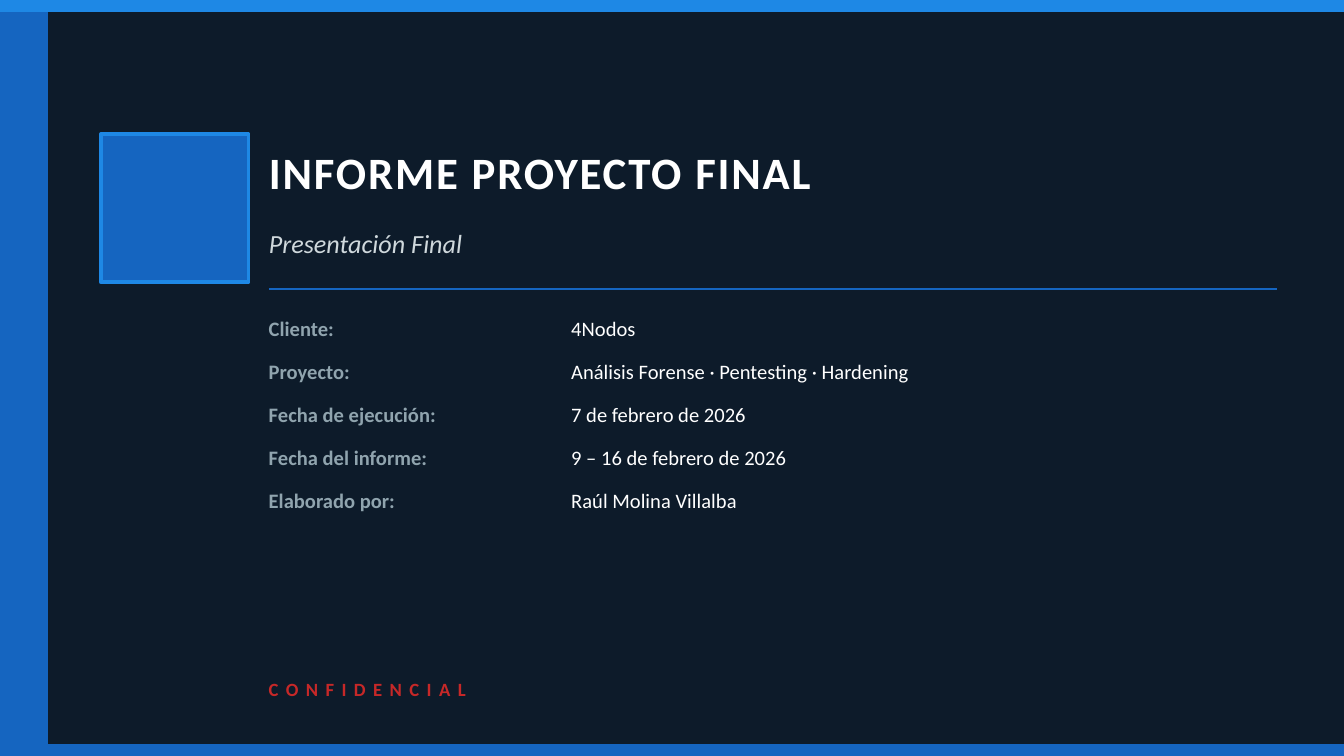
from pptx import Presentation
from pptx import util as u
from pptx.dml import color as colors
from pptx.enum import shapes, text
from pptx.oxml import xmlchemy as xml

NAVY, BLUE, SKY = "0D1B2A", "1565C0", "1E88E5"
WHITE, SILVER, SLATE, RED = "FFFFFF", "CFD8DC", "90A4AE", "C62828"
PAGE_WIDTH = 10
PAGE_HEIGHT = PAGE_WIDTH * 9 / 16
BAR = 0.08


def paint(color_format, hex_color):
    """Colour a solid fill, a line fill or a font from a hex string."""
    if hasattr(color_format, "solid"):
        color_format.solid()
        color_format = color_format.fore_color
    else:
        color_format = color_format.color
    color_format.rgb = colors.RGBColor.from_string(hex_color)


def write(words, left, top, width, height, size, color,
          bold=False, italic=False, spacing=0, box=None):
    """Put one formatted line in a placeholder or in a new text box."""
    if box is None:
        box = page.shapes.add_textbox(0, 0, 0, 0)
    box.left, box.top = u.Inches(left), u.Inches(top)
    box.width, box.height = u.Inches(width), u.Inches(height)
    frame = box.text_frame
    frame.word_wrap = True
    frame.auto_size = text.MSO_AUTO_SIZE.NONE
    frame.vertical_anchor = text.MSO_ANCHOR.MIDDLE
    frame.margin_left = frame.margin_right = 0
    frame.margin_top = frame.margin_bottom = 0
    para = frame.paragraphs[0]
    para.alignment = text.PP_ALIGN.LEFT
    para.space_before = u.Pt(0)
    span = para.add_run()
    span.text = words
    span.font.name, span.font.size = "Calibri", u.Pt(size)
    span.font.bold, span.font.italic = bold, italic
    paint(span.font, color)
    if spacing:
        span.font._element.set("spc", str(spacing * 100))


deck = Presentation()
deck.slide_width, deck.slide_height = u.Inches(PAGE_WIDTH), u.Inches(PAGE_HEIGHT)
page = deck.slides.add_slide(deck.slide_layouts[0])
paint(page.background.fill, NAVY)

# Edge bars and emblem square
for left, top, width, height, fill, outline, weight in [
    (0, 0, 0.35, PAGE_HEIGHT, BLUE, BLUE, 1),
    (0, 0, PAGE_WIDTH, BAR, SKY, SKY, 1),
    (0, PAGE_HEIGHT - BAR, PAGE_WIDTH, BAR, BLUE, BLUE, 1),
    (0.75, 1, 1.1, 1.1, BLUE, SKY, 2),
]:
    block = page.shapes.add_shape(
        shapes.MSO_SHAPE.RECTANGLE, u.Inches(left), u.Inches(top),
        u.Inches(width), u.Inches(height))
    block.shadow.inherit = False
    paint(block.fill, fill)
    paint(block.line.fill, outline)
    block.line.width = u.Pt(weight)

# Title and subtitle
write("INFORME PROYECTO FINAL", 2, 0.95, 7.5, 0.65, 24, WHITE,
      bold=True, spacing=1, box=page.shapes.title)
write("Presentación Final", 2, 1.62, 7.5, 0.38, 14, SILVER,
      italic=True, box=page.placeholders[1])

# Divider
divider = page.shapes.add_connector(
    shapes.MSO_CONNECTOR.STRAIGHT, u.Inches(2), u.Inches(2.15),
    u.Inches(9.5), u.Inches(2.15))
paint(divider.line.fill, BLUE)
divider.line.width = u.Pt(1)
divider._element.spPr.append(xml.OxmlElement("a:effectLst"))

# Report details
details = [
    ("Cliente:", "4Nodos"),
    ("Proyecto:", "Análisis Forense · Pentesting · Hardening"),
    ("Fecha de ejecución:", "7 de febrero de 2026"),
    ("Fecha del informe:", "9 – 16 de febrero de 2026"),
    ("Elaborado por:", "Raúl Molina Villalba"),
]
for row, (label, value) in enumerate(details):
    top = 2.3 + 0.32 * row
    write(label, 2, top, 2.2, 0.28, 11, SLATE, bold=True)
    write(value, 4.25, top, 5.25, 0.28, 11, WHITE)

# Confidentiality mark
write("CONFIDENCIAL", 2, 5, 7.5, 0.25, 10, RED, bold=True, spacing=4)

deck.save("out.pptx")
